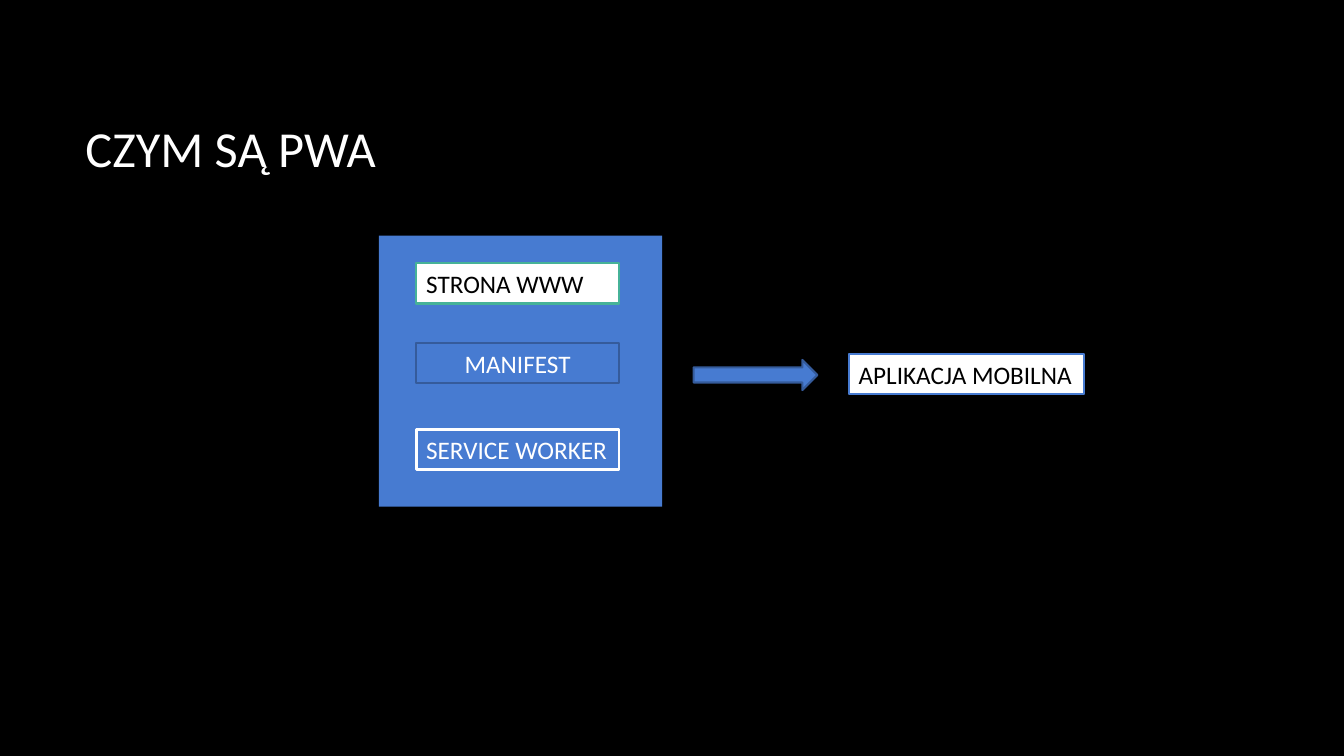
import pptx
import pptx.dml.color
import pptx.enum.shapes
import pptx.enum.text
import pptx.util

Cm = pptx.util.Cm
Pt = pptx.util.Pt
Shape = pptx.enum.shapes.MSO_SHAPE
Align = pptx.enum.text.PP_ALIGN
Anchor = pptx.enum.text.MSO_ANCHOR
AutoSize = pptx.enum.text.MSO_AUTO_SIZE

BLACK = "000000"
WHITE = "FFFFFF"
BLUE = "477BD1"
NAVY = "355B9B"
GREEN = "46B298"


def color(value):
    return pptx.dml.color.RGBColor.from_string(value)


class Slide:
    font = "Calibri"
    body_size = 18
    title_size = 36

    def __init__(self, deck, background):
        self.page = deck.slides.add_slide(deck.slide_layouts[5])
        fill = self.page.background.fill
        fill.solid()
        fill.fore_color.rgb = color(background)

    def set_text(self, shape, text, size, ink, align):
        frame = shape.text_frame
        frame.text = text
        frame.vertical_anchor = Anchor.MIDDLE
        para = frame.paragraphs[0]
        para.alignment = align
        para.font.name = self.font
        para.font.size = Pt(size)
        para.font.color.rgb = color(ink)

    def title(self, text, left, top, width, height):
        title = self.page.shapes.title
        title.left, title.top = Cm(left), Cm(top)
        title.width, title.height = Cm(width), Cm(height)
        self.set_text(title, text, self.title_size, WHITE, Align.LEFT)

    def shape(self, kind, left, top, width, height, fill, line=None, weight=1.5):
        shape = self.page.shapes.add_shape(
            kind, Cm(left), Cm(top), Cm(width), Cm(height))
        shape.shadow.inherit = False
        shape.fill.solid()
        shape.fill.fore_color.rgb = color(fill)
        if line:
            shape.line.color.rgb = color(line)
            shape.line.width = Pt(weight)
        else:
            shape.line.fill.background()
        return shape

    def label(self, text, left, top, width, fill, line, ink,
              weight=1.5, align=Align.LEFT, wrap=True):
        box = self.shape(Shape.RECTANGLE, left, top, width, 1.02, fill, line, weight)
        self.set_text(box, text, self.body_size, ink, align)
        box.text_frame.word_wrap = wrap
        box.text_frame.auto_size = AutoSize.SHAPE_TO_FIT_TEXT


def main():
    deck = pptx.Presentation()
    deck.slide_width, deck.slide_height = Cm(33.87), Cm(19.05)

    slide = Slide(deck, BLACK)
    slide.title("CZYM SĄ PWA", 1.9, 1.7, 28.14, 4.04)

    slide.shape(Shape.RECTANGLE, 9.55, 5.94, 7.14, 6.83, BLUE)
    part_left, part_width = 10.49, 5.11
    slide.label("STRONA WWW", part_left, 6.63, part_width, WHITE, GREEN, BLACK)
    slide.label("MANIFEST", part_left, 8.64, part_width, BLUE, NAVY, WHITE,
                align=Align.CENTER)
    slide.label("SERVICE WORKER", part_left, 10.82, part_width, BLUE, WHITE, WHITE,
                weight=2, wrap=False)

    slide.shape(Shape.RIGHT_ARROW, 17.48, 9.07, 3.12, 0.76, BLUE, NAVY)
    slide.label("APLIKACJA MOBILNA", 21.39, 8.92, 5.94, WHITE, BLUE, BLACK, wrap=False)

    deck.save("out.pptx")


if __name__ == "__main__":
    main()
